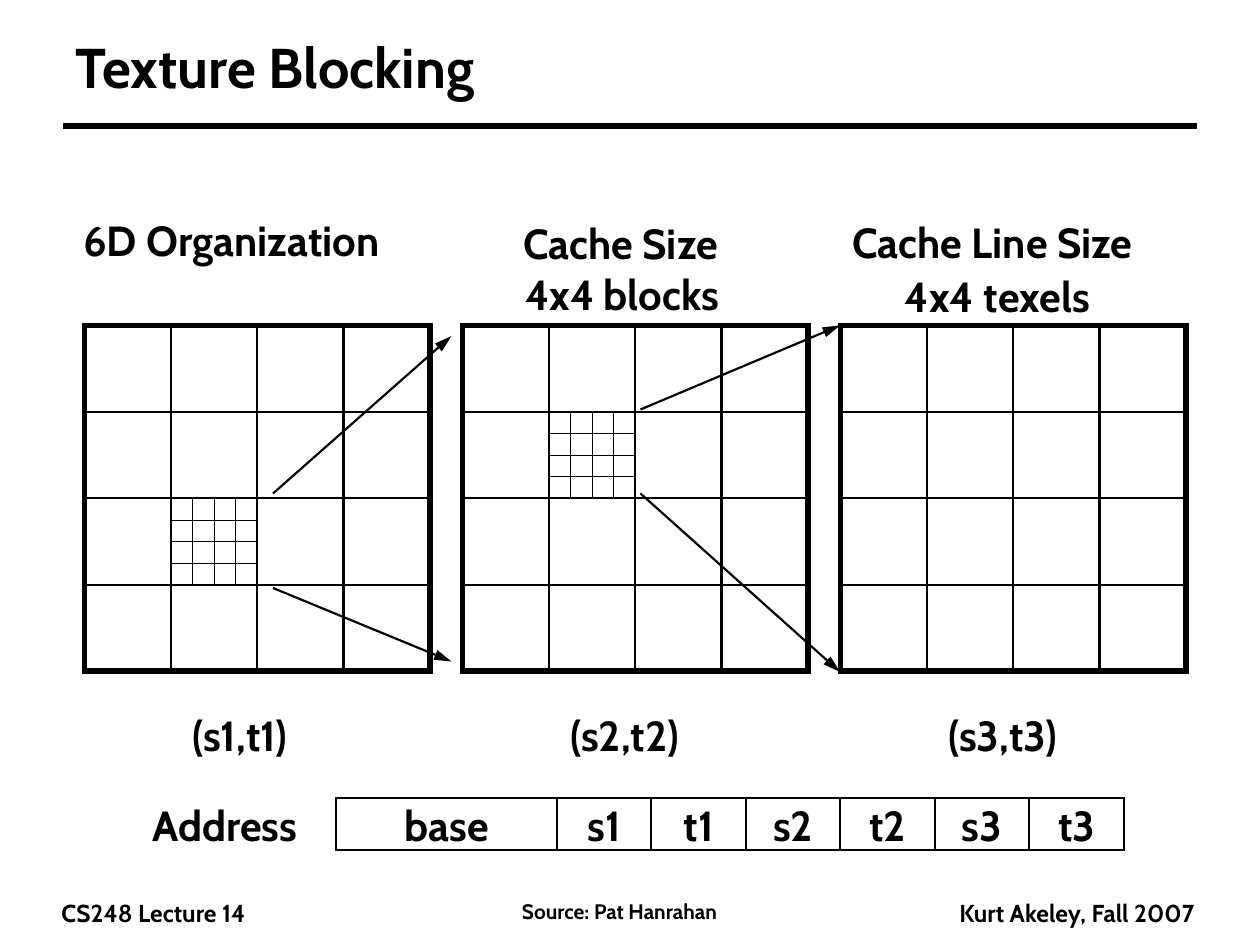
from lxml.etree import SubElement
from pptx import Presentation
from pptx.dml.color import RGBColor
from pptx.enum.shapes import MSO_CONNECTOR as Connector, MSO_SHAPE as Shape
from pptx.enum.text import MSO_ANCHOR as Anchor, MSO_AUTO_SIZE as AutoSize, PP_ALIGN as Align
from pptx.oxml.ns import qn
from pptx.util import Pt

COLORS = {"ink": "000000"}
FONT = "Cabin"
INK = RGBColor.from_string(COLORS["ink"])

# Grid geometry
GRID_LEFTS = (48.25, 264.25, 480.25)
GRID_TOP = 186
GRID_SIZE = 197.5
CELL = GRID_SIZE / 4
THIN, NORMAL, THICK = 0.25, 1.25, 3


def style_text(frame, text, size, align=Align.LEFT):
    paragraph = frame.paragraphs[0]
    paragraph.text = text
    paragraph.alignment = align
    font = paragraph.font
    font.name, font.size, font.bold = FONT, Pt(size), True
    font.color.rgb = INK


def add_text(slide, text, left, top, width, height, size=24, align=Align.LEFT, wrap=False):
    box = slide.shapes.add_textbox(Pt(left), Pt(top), Pt(width), Pt(height))
    frame = box.text_frame
    frame.word_wrap = wrap
    frame.auto_size = AutoSize.SHAPE_TO_FIT_TEXT
    style_text(frame, text, size, align)
    return frame


def add_box(slide, left, top, width, height, weight):
    box = slide.shapes.add_shape(Shape.RECTANGLE, Pt(left), Pt(top), Pt(width), Pt(height))
    box.shadow.inherit = False
    box.fill.background()
    box.line.color.rgb = INK
    box.line.width = Pt(weight)
    SubElement(box._element.spPr.find(qn("a:ln")), qn("a:miter"), lim="800000")
    return box


def add_grid(slide, left, top, size, cell_weight, frame_weight, divided=None):
    """Draw a 4 by 4 grid, leaving the divided cell to its own finer grid."""
    cell = size / 4
    for row in range(4):
        for column in range(4):
            if (row, column) != divided:
                add_box(slide, left + column * cell, top + row * cell, cell, cell, cell_weight)
    add_box(slide, left, top, size, size, frame_weight)
    if divided:
        row, column = divided
        add_grid(slide, left + column * cell, top + row * cell, cell, THIN, NORMAL)


def add_line(slide, start, end, weight, arrow=False):
    line = slide.shapes.add_connector(Connector.STRAIGHT, *map(Pt, start + end))
    line.line.color.rgb = INK
    line.line.width = Pt(weight)
    properties = line._element.spPr
    if arrow:
        SubElement(properties.find(qn("a:ln")), qn("a:tailEnd"), type="triangle", len="lg")
    SubElement(properties, qn("a:effectLst"))


def add_field(slide, text, left, width):
    box = add_box(slide, left, 456, width, 30, NORMAL)
    frame = box.text_frame
    frame.word_wrap = False
    frame.vertical_anchor = Anchor.MIDDLE
    style_text(frame, text, 24, Align.CENTER)


def main():
    presentation = Presentation()
    presentation.slide_width, presentation.slide_height = Pt(720), Pt(540)
    slide = presentation.slides.add_slide(presentation.slide_layouts[6])

    # Title, rule and footers
    add_line(slide, (36, 72), (684, 72), 4)
    add_text(slide, "CS248 Lecture 14", 28, 509.6, 132, 24.5, 14)
    add_text(slide, "Kurt Akeley, Fall 2007", 503.7, 509.6, 186, 24.5, 14, Align.RIGHT, True)
    add_text(slide, "Source: Pat Hanrahan", 216, 510, 276, 21.6, 12, Align.CENTER, True)
    title = add_text(slide, "Texture Blocking", 36, 18, 648, 44, 32, wrap=True)
    title.auto_size = AutoSize.NONE
    title.vertical_anchor = Anchor.MIDDLE
    title.paragraphs[0].line_spacing = 0.9

    # Three levels of grids, with one block subdivided in the first two
    for left, divided in zip(GRID_LEFTS, ((2, 1), (1, 1), None)):
        add_grid(slide, left, GRID_TOP, GRID_SIZE, NORMAL, THICK, divided)

    # Arrows from each subdivided block to the next grid
    for start, end in (
        ((156, 282), (258, 192)),
        ((156, 336), (258, 378)),
        ((366, 234), (480, 186)),
        ((366, 282), (480, 384)),
    ):
        add_line(slide, start, end, NORMAL, arrow=True)

    # Headings above the grids
    for text, left, top, width in (
        ("6D Organization", 40.5, 118.8, 209.5),
        ("Cache Size", 292, 120.8, 139),
        ("4x4 blocks", 293, 150, 138.2),
        ("Cache Line Size", 480, 120.3, 195.8),
        ("4x4 texels", 510, 150.9, 134),
    ):
        add_text(slide, text, left, top, width, 36)

    # Coordinates below the grids
    for level, left in enumerate(GRID_LEFTS, start=1):
        add_text(slide, f"(s{level},t{level})", left + 54.6, 402, 87, 36)

    # Address layout
    add_text(slide, "Address", 80, 453.3, 110, 36)
    add_field(slide, "base", 192.2, 126)
    for index, name in enumerate(("s1", "t1", "s2", "t2", "s3", "t3")):
        add_field(slide, name, 318.2 + index * 54, 54)

    presentation.save("out.pptx")


if __name__ == "__main__":
    main()
